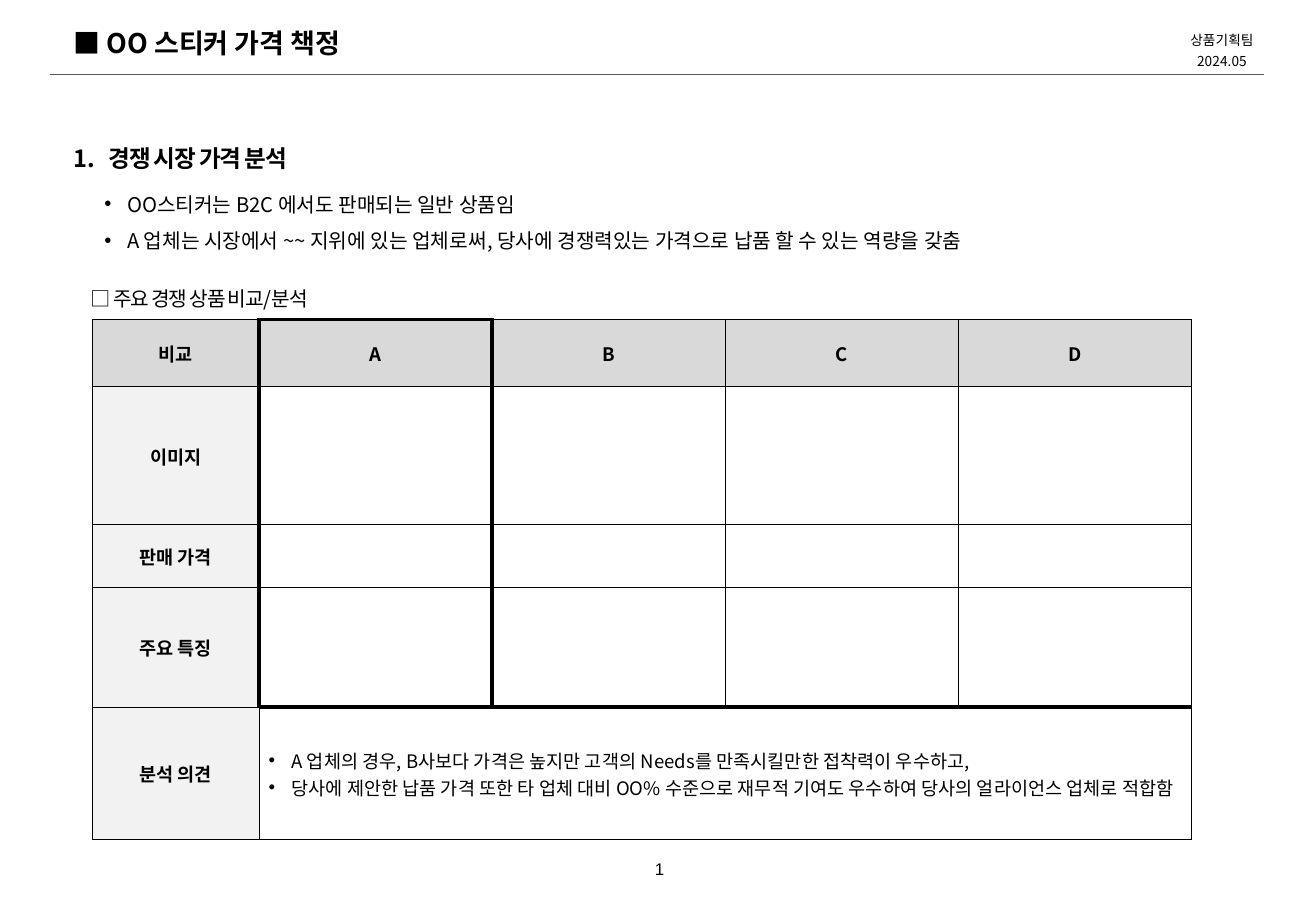
"""Build the sticker pricing slide with its competitor comparison table."""
from dataclasses import dataclass
from typing import Any, Optional

from lxml import etree
from pptx import Presentation
from pptx import util as u
from pptx.dml.color import RGBColor
from pptx.enum import shapes, text
from pptx.oxml import ns


@dataclass(frozen=True)
class Theme:
    ink: str = "000000"
    rule: str = "595959"
    header: str = "D9D9D9"
    label: str = "F2F2F2"
    korean: str = "Noto Sans CJK KR"
    latin: str = "Arial"
    title: float = 16
    heading: float = 14
    body: float = 12
    cell: float = 11
    page: float = 10
    note: float = 8.1
    thin: float = 0.5
    thick: float = 2.25
    hairline: float = 0.25


THEME = Theme()
Box = tuple[float, float, float, float]


@dataclass(frozen=True)
class Style:
    size: float
    bold: bool = False
    font: str = THEME.korean
    align: Optional[text.PP_ALIGN] = None
    spacing: Optional[float] = None
    tracking: int = 0
    marker: Optional[tuple[str, dict[str, str]]] = None
    indent: float = 0


@dataclass(frozen=True)
class TextBlock:
    box: Box
    lines: tuple[str, ...]
    style: Style
    middle: bool = False


CENTER = text.PP_ALIGN.CENTER
BULLET = ("a:buChar", {"char": "•"})
NUMBER = ("a:buAutoNum", {"type": "arabicPeriod"})
LABEL = Style(THEME.cell, bold=True, align=CENTER)
OPINION = Style(THEME.cell, marker=BULLET, indent=13.5)

BLOCKS = (
    TextBlock((36.7, 12.2, 417.6, 26.6), ("■ OO 스티커 가격 책정",),
              Style(THEME.title, bold=True)),
    TextBlock((36.7, 73.4, 180.7, 29.5), ("경쟁 시장 가격 분석",),
              Style(THEME.heading, bold=True, spacing=1.5, tracking=-70,
                    marker=NUMBER, indent=20.5)),
    TextBlock((54.7, 103, 615.6, 48.2),
              ("OO스티커는 B2C 에서도 판매되는 일반 상품임",
               "A 업체는 시장에서 ~~ 지위에 있는 업체로써, 당사에 경쟁력있는 가격으로 납품 할 수 있는 역량을 갖춤"),
              Style(THEME.body, spacing=1.5, marker=BULLET, indent=13.5)),
    TextBlock((303.1, 500.4, 175.7, 28.8), ("1",),
              Style(THEME.page, font=THEME.latin, align=CENTER), middle=True),
    TextBlock((670.3, 13, 108, 31), ("상품기획팀", "2024.05"),
              Style(THEME.note, align=CENTER, spacing=1.3), middle=True),
    TextBlock((46.8, 159.1, 180.7, 26.6), ("□ 주요 경쟁 상품 비교/분석",),
              Style(THEME.body, spacing=1.5, tracking=-70)),
)

TABLE_ORIGIN = (54.9, 189.4)
COLUMN_WIDTHS = (98.6, *[138.2] * 4)
ROW_HEIGHTS = (39.6, 81.8, 37.4, 70.9, 78.5)
PRODUCTS = ("비교", "A", "B", "C", "D")
CRITERIA = ("이미지", "판매 가격", "주요 특징", "분석 의견")
OPINIONS = (
    "A 업체의 경우, B사보다 가격은 높지만 고객의 Needs를 만족시킬만한 접착력이 우수하고,",
    "당사에 제안한 납품 가격 또한 타 업체 대비 OO% 수준으로 재무적 기여도 우수하여 당사의 얼라이언스 업체로 적합함",
)
LAST = len(CRITERIA)


def apply(target: Any, values: dict[str, Any]) -> None:
    """Set every given attribute on the target."""
    for name, value in values.items():
        setattr(target, name, value)


def add_xml(parent: Any, tag: str, **attributes: str) -> Any:
    """Append a DrawingML element and return it."""
    return etree.SubElement(parent, ns.qn(tag), attributes)


def write(frame: Any, lines: tuple[str, ...], style: Style) -> None:
    """Fill a text frame with one styled paragraph per line."""
    for index, line in enumerate(lines):
        paragraph = frame.add_paragraph() if index else frame.paragraphs[0]
        if style.marker:
            properties = paragraph._p.get_or_add_pPr()
            apply_indent = u.Pt(style.indent)
            properties.set("marL", str(apply_indent))
            properties.set("indent", str(-apply_indent))
            tag, attributes = style.marker
            if style.marker is BULLET:
                add_xml(properties, "a:buFont", typeface=THEME.latin)
            add_xml(properties, tag, **attributes)
        apply(paragraph, {"alignment": style.align, "line_spacing": style.spacing})
        run = paragraph.add_run()
        run.text = line
        apply(run.font, {"size": u.Pt(style.size), "bold": style.bold, "name": style.font})
        run.font.color.rgb = RGBColor.from_string(THEME.ink)
        add_xml(run._r.rPr, "a:ea", typeface=style.font)
        if style.tracking:
            run._r.rPr.set("spc", str(style.tracking))


def draw_block(slide: Any, block: TextBlock) -> None:
    """Draw one text box."""
    frame = slide.shapes.add_textbox(*map(u.Pt, block.box)).text_frame
    fit, anchor = text.MSO_AUTO_SIZE, text.MSO_ANCHOR
    apply(frame, {
        "word_wrap": True,
        "auto_size": fit.NONE if block.middle else fit.SHAPE_TO_FIT_TEXT,
        "vertical_anchor": anchor.MIDDLE if block.middle else anchor.TOP,
    })
    write(frame, block.lines, block.style)


def draw_header_rule(slide: Any) -> None:
    """Draw the line under the title."""
    ends = map(u.Pt, (29.5, 43.9, 749.5, 43.9))
    rule = slide.shapes.add_connector(shapes.MSO_CONNECTOR.STRAIGHT, *ends)
    rule.line.color.rgb = RGBColor.from_string(THEME.rule)
    rule.line.width = u.Pt(THEME.hairline)
    add_xml(rule._element.spPr, "a:effectLst")


def thick_sides(row: int, column: int) -> str:
    """Name the sides of a cell that lie on the frame around product A."""
    if row == LAST:
        return "T" if column else ""
    sides = {0: "R", 1: "LR", 2: "L"}.get(column, "")
    if column == 1 and row == 0:
        sides += "T"
    if column and row == LAST - 1:
        sides += "B"
    return sides


def style_cell(cell: Any, row: int, column: int) -> None:
    """Set the borders, fill and margins of one cell."""
    properties = cell._tc.get_or_add_tcPr()
    thick = thick_sides(row, column)
    for side in "LRTB":
        width = u.Pt(THEME.thick if side in thick else THEME.thin)
        border = add_xml(properties, f"a:ln{side}", w=str(width))
        add_xml(add_xml(border, "a:solidFill"), "a:srgbClr", val=THEME.ink)
    if row == 0 or column == 0:
        cell.fill.solid()
        cell.fill.fore_color.rgb = RGBColor.from_string(THEME.label if row else THEME.header)
    else:
        cell.fill.background()
    apply(cell, {
        "vertical_anchor": text.MSO_ANCHOR.MIDDLE,
        "margin_left": u.Pt(5.8 if row == LAST and column else 0.7),
        "margin_right": u.Pt(0.7),
        "margin_top": u.Pt(0.7),
        "margin_bottom": u.Pt(0),
    })


def draw_comparison(slide: Any) -> None:
    """Draw the competitor comparison table."""
    size = (sum(COLUMN_WIDTHS), sum(ROW_HEIGHTS))
    comparison = slide.shapes.add_table(
        len(ROW_HEIGHTS), len(COLUMN_WIDTHS), *map(u.Pt, TABLE_ORIGIN + size)).table
    apply(comparison, {"first_row": False, "horz_banding": False})
    for column, width in zip(comparison.columns, COLUMN_WIDTHS):
        column.width = u.Pt(width)
    for row, height in zip(comparison.rows, ROW_HEIGHTS):
        row.height = u.Pt(height)
    for row in range(len(ROW_HEIGHTS)):
        for column in range(len(COLUMN_WIDTHS)):
            style_cell(comparison.cell(row, column), row, column)
    for column, product in enumerate(PRODUCTS):
        write(comparison.cell(0, column).text_frame, (product,), LABEL)
    for row, criterion in enumerate(CRITERIA, start=1):
        write(comparison.cell(row, 0).text_frame, (criterion,), LABEL)
    opinion = comparison.cell(LAST, 1)
    opinion.merge(comparison.cell(LAST, len(PRODUCTS) - 1))
    write(opinion.text_frame, OPINIONS, OPINION)


def main() -> None:
    """Build and save the slide."""
    deck = Presentation()
    apply(deck, {"slide_width": u.Pt(780), "slide_height": u.Pt(540)})
    slide = deck.slides.add_slide(deck.slide_layouts[6])
    draw_header_rule(slide)
    draw_comparison(slide)
    for block in BLOCKS:
        draw_block(slide, block)
    deck.save("out.pptx")


if __name__ == "__main__":
    main()
